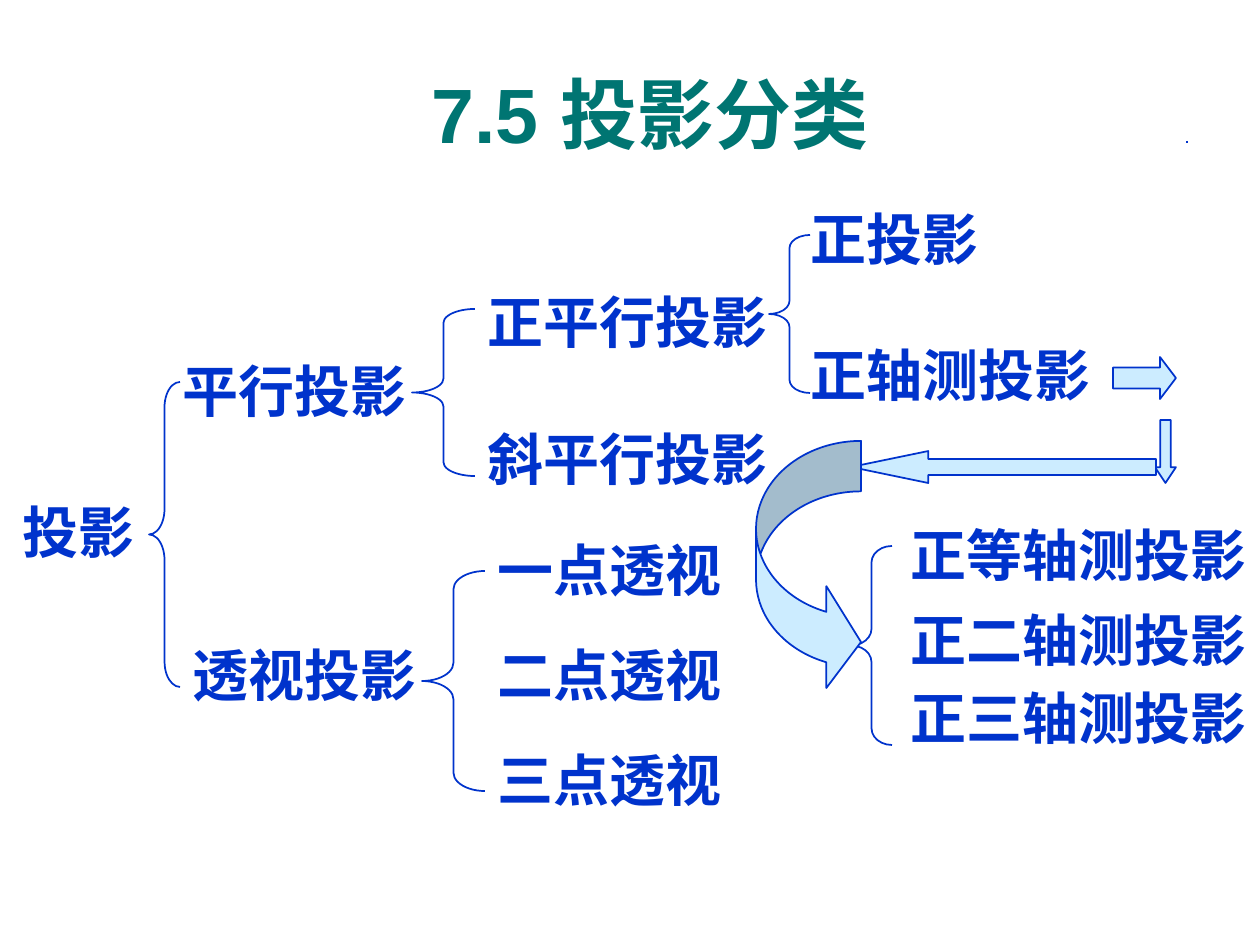
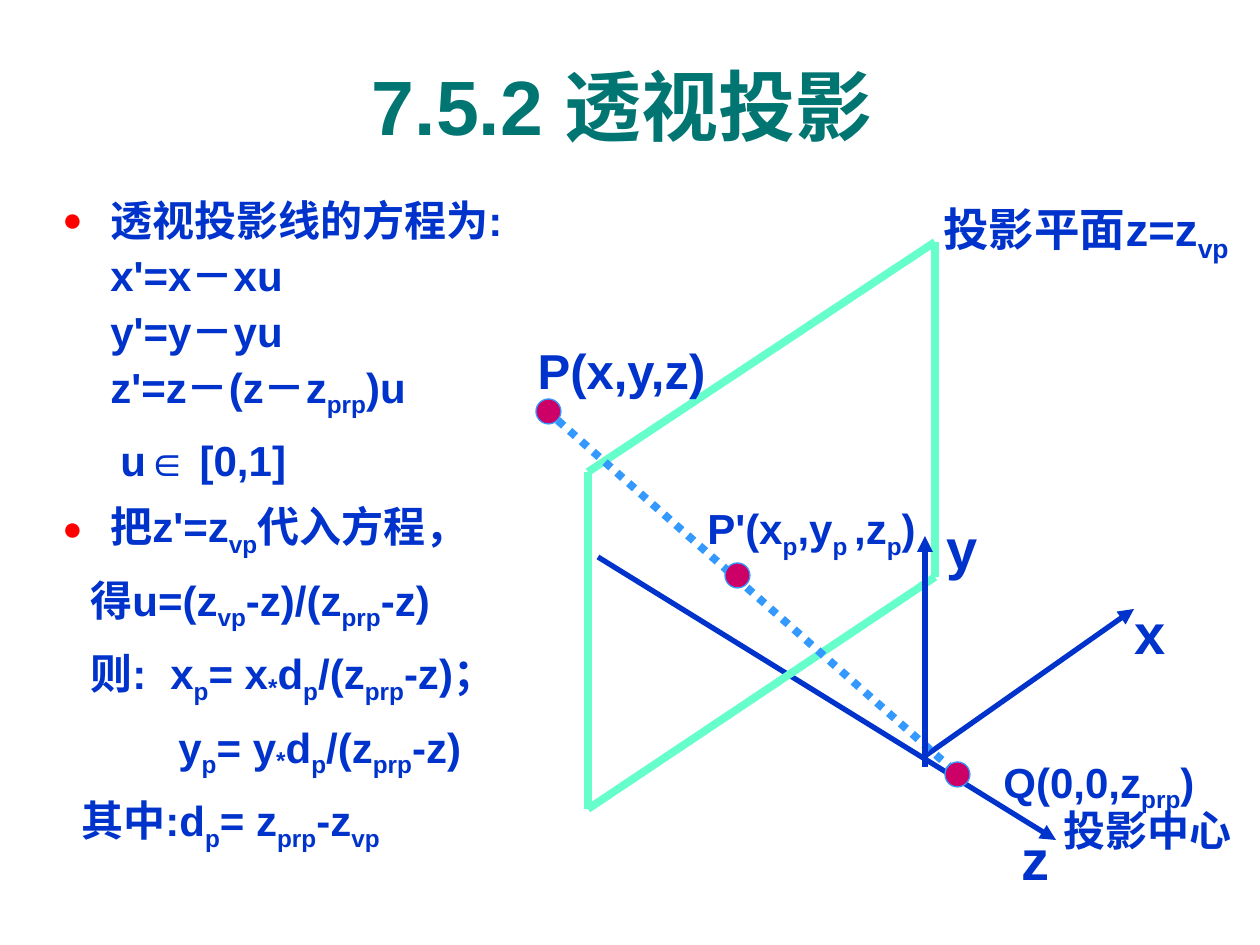
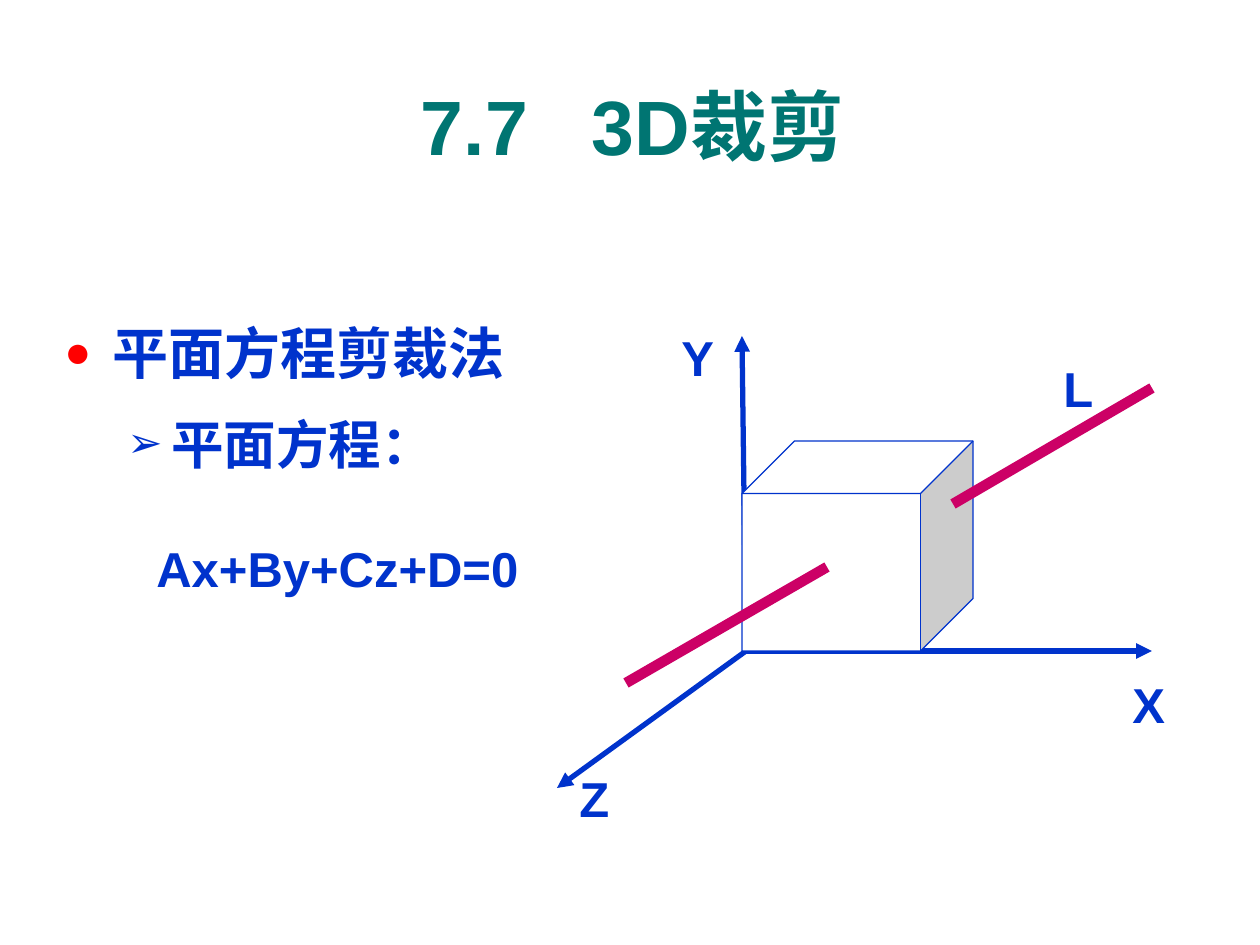
from dataclasses import dataclass
from typing import Any

from lxml.etree import SubElement
from pptx import Presentation
from pptx.dml.color import RGBColor
from pptx.enum.dml import MSO_LINE
from pptx.enum.shapes import MSO_CONNECTOR, MSO_SHAPE
from pptx.enum.text import MSO_ANCHOR, MSO_AUTO_SIZE, PP_ALIGN
from pptx.oxml.ns import qn
from pptx.util import Emu, Pt

PX = 914400 / 126
SLIDE_WIDTH, SLIDE_HEIGHT = 1260, 945
FONT = "Arial"
BLUE = "0033CC"
TEAL = "007572"
RED = "FF0000"
MAGENTA = "CC0066"
MINT = "66FFCC"
SKY = "3399FF"
PALE = "CCECFF"
WHITE = "FFFFFF"


def px(value):
    """Turn pixels into EMU."""
    return Emu(round(value * PX))


def color(value):
    """Turn a hex string into a colour."""
    return RGBColor.from_string(value)


def add_bullet(properties, character, bullet_color):
    """Give a paragraph a coloured bullet."""
    holder = SubElement(properties, qn("a:buClr"))
    SubElement(holder, qn("a:srgbClr"), val=bullet_color)
    SubElement(properties, qn("a:buSzPct"), val="80000")
    SubElement(properties, qn("a:buFont"), typeface=FONT)
    SubElement(properties, qn("a:buChar"), char=character)


def write(paragraph, text, size=32, fill=BLUE, align=PP_ALIGN.LEFT, spacing=None,
          before=0, margin=0, hanging=0, bullet=None, gap=0):
    """Write text in which every second part between bars is lowered or a wide gap."""
    properties = paragraph._p.get_or_add_pPr()
    properties.set("marL", str(px(margin)))
    properties.set("indent", str(px(-hanging)))
    if bullet:
        add_bullet(properties, *bullet)
    paragraph.alignment = align
    paragraph.space_before = Pt(before)
    if spacing:
        paragraph.line_spacing = spacing
    for index, part in enumerate(text.split("|")):
        for row, line in enumerate(part.split("\n")):
            if row:
                paragraph.add_line_break()
            run = paragraph.add_run()
            run.text = line
            run.font.name = FONT
            run.font.size = Pt(size)
            run.font.bold = True
            run.font.color.rgb = color(fill)
            run_properties = run._r.get_or_add_rPr()
            if index % 2 and line == " ":
                run_properties.set("spc", str(gap * 100))
            elif index % 2:
                run_properties.set("baseline", "-15000" if line == "*" else "-25000")


@dataclass
class Region:
    """A part of a slide whose contents are placed from its left top corner."""

    slide: Any
    left: int
    top: int

    def frame(self, left, top, width, height, inset=True, wrap=False, anchor=MSO_ANCHOR.TOP):
        """Add an empty text box and return its text frame."""
        box = self.slide.shapes.add_textbox(
            px(self.left + left), px(self.top + top), px(width), px(height))
        frame = box.text_frame
        frame.word_wrap = wrap
        frame.auto_size = MSO_AUTO_SIZE.NONE if wrap else MSO_AUTO_SIZE.SHAPE_TO_FIT_TEXT
        frame.vertical_anchor = anchor
        if not inset:
            frame.margin_left = frame.margin_right = frame.margin_top = frame.margin_bottom = 0
        return frame

    def label(self, text, left, top, width, height, wrap=False, **style):
        """Add a one-line label."""
        write(self.frame(left, top, width, height, wrap=wrap).paragraphs[0], text, **style)

    def tight_label(self, text, left, top, width, height, **style):
        """Add a centred label without insets."""
        frame = self.frame(left, top, width, height, inset=False, anchor=MSO_ANCHOR.MIDDLE)
        write(frame.paragraphs[0], text, align=PP_ALIGN.CENTER, **style)

    def line(self, start, end, stroke=BLUE, weight=3, arrow=False, dash=None):
        """Draw a straight line, with an arrowhead at its end if asked."""
        (x1, y1), (x2, y2) = start, end
        connector = self.slide.shapes.add_connector(
            MSO_CONNECTOR.STRAIGHT, px(self.left + x1), px(self.top + y1),
            px(self.left + x2), px(self.top + y2))
        connector.line.color.rgb = color(stroke)
        connector.line.width = Pt(weight)
        if dash:
            connector.line.dash_style = dash
        if arrow:
            SubElement(connector.line._get_or_add_ln(), qn("a:tailEnd"), type="triangle")
        SubElement(connector._element.spPr, qn("a:effectLst"))

    def shape(self, kind, left, top, width, height, fill=None, stroke=BLUE, weight=1,
              adjustments=()):
        """Add a preset shape."""
        shape = self.slide.shapes.add_shape(
            kind, px(self.left + left), px(self.top + top), px(width), px(height))
        shape.shadow.inherit = False
        if fill:
            shape.fill.solid()
            shape.fill.fore_color.rgb = color(fill)
        else:
            shape.fill.background()
        shape.line.color.rgb = color(stroke)
        shape.line.width = Pt(weight)
        for index, value in enumerate(adjustments):
            shape.adjustments[index] = value


def add_title(slide, text, left, top, width):
    """Add the centred slide title."""
    frame = Region(slide, left, top).frame(0, 0, width, 105, wrap=True, anchor=MSO_ANCHOR.MIDDLE)
    write(frame.paragraphs[0], text, size=44, fill=TEAL, align=PP_ALIGN.CENTER, gap=24)


def add_term(region, text, left, top):
    """Add a term of the classification, with room for all its characters."""
    region.label(text, left, top, 56 * len(text) + 40, 81, wrap=True)


def add_branch(region, width, height, terms):
    """Add a brace and the terms it opens to."""
    region.shape(MSO_SHAPE.LEFT_BRACE, 0, 0, width, height,
                 adjustments=(height / 12 / width, 0.5))
    for text, left, top in terms:
        add_term(region, text, left, top)


def add_flow_arrows(region):
    """Add the arrows that lead on to the axonometric kinds."""
    arrows = [
        (MSO_SHAPE.RIGHT_ARROW, 357, 0, 63, 42, (0.5, 0.38)),
        (MSO_SHAPE.DOWN_ARROW, 399, 63, 21, 63, (0.5, 0.75)),
        (MSO_SHAPE.LEFT_ARROW, 95, 94, 305, 32, (0.5, 2.42)),
        (MSO_SHAPE.CURVED_RIGHT_ARROW, 0, 84, 105, 252, (0.48, 0.97, 0.33)),
    ]
    for kind, left, top, width, height, adjustments in arrows:
        region.shape(kind, left, top, width, height, fill=PALE, adjustments=adjustments)


def classification_slide(slide):
    """Build the tree of projection kinds."""
    add_term(Region(slide, 10, 491), "投影", 0, 0)
    branches = [
        (149, 382, 31, 305, [("平行投影", 21, -32), ("透视投影", 31, 252)]),
        (422, 571, 63, 220, [("一点透视", 63, -42), ("二点透视", 63, 63), ("三点透视", 63, 168)]),
        (412, 309, 63, 167, [("正平行投影", 63, -28), ("斜平行投影", 63, 109)]),
        (769, 235, 41, 158, [("正投影", 29, -37), ("正轴测投影", 29, 99)]),
        (851, 546, 41, 199,
         [("正等轴测投影", 47, -32), ("正二轴测投影", 47, 53), ("正三轴测投影", 47, 131)]),
    ]
    for left, top, width, height, terms in branches:
        add_branch(Region(slide, left, top), width, height, terms)
    Region(slide, 1187, 141).line((0, 0), (0, 2), weight=1)
    add_flow_arrows(Region(slide, 756, 357))
    add_title(slide, "7.5 投影分类", 144, 60, 1012)


def add_equations(region):
    """Add the derivation of the perspective equations."""
    dot = {"margin": 48, "hanging": 48, "bullet": ("●", RED)}
    steps = [
        ("透视投影线的方程为:\nx'=x－xu\ny'=y－yu\nz'=z－(z－z|prp|)u", dot),
        ("u∈ [0,1]", {"margin": 58}),
        ("把z'=z|vp|代入方程，", dot),
        ("得u=(z|vp|-z)/(z|prp|-z)", {"margin": 28}),
        ("则:| |x|p|= x|*|d|p|/(z|prp|-z)；", {"margin": 28, "gap": 7}),
        ("y|p|= y|*|d|p|/(z|prp|-z)", {"margin": 116}),
        ("其中:d|p|= z|prp|-z|vp|", {"margin": 19}),
    ]
    frame = region.frame(0, 0, 500, 675, wrap=True)
    for index, (text, style) in enumerate(steps):
        paragraph = frame.add_paragraph() if index else frame.paragraphs[0]
        write(paragraph, text, size=24, spacing=1.1, before=6 if index else 0, **style)


def add_perspective_figure(region):
    """Draw the view plane, the axes, the projector and its points."""
    region.line((389, 561), (598, 414), arrow=True)
    region.line((62, 362), (520, 645), arrow=True)
    corners = [(52, 277), (399, 47), (399, 382), (52, 614)]
    for start, end in zip(corners, corners[1:] + corners[:1]):
        region.line(start, end, stroke=MINT, weight=4.5)
    region.line((10, 215), (425, 582), stroke=SKY, weight=4.5, dash=MSO_LINE.ROUND_DOT)
    for text, left, top in [("x", 598, 404), ("y", 410, 319), ("z", 486, 630)]:
        region.tight_label(text, left, top, 32 if text != "z" else 28, 67)
    region.tight_label("P(x,y,z)", 0, 145, 171, 59, size=28)
    region.tight_label("Q(0,0,z|prp|)", 467, 538, 192, 81, size=24, spacing=1.4)
    for left, top in [(0, 204), (189, 368), (409, 567)]:
        region.shape(MSO_SHAPE.OVAL, left, top, 25, 25, fill=MAGENTA, stroke=SKY, weight=0.75)
    region.tight_label("P'(x|p|,y|p |,z|p|)", 171, 296, 209, 69, size=24, spacing=1.2)
    region.label("投影平面z=z|vp|", 395, 0, 321, 76, size=26)
    region.label("投影中心", 515, 603, 193, 63, size=24)
    region.line((389, 572), (389, 341), arrow=True)


def perspective_slide(slide):
    """Build the slide on perspective projection."""
    add_equations(Region(slide, 50, 183))
    add_perspective_figure(Region(slide, 536, 195))
    add_title(slide, "7.5.2 透视投影", 34, 52, 1177)


def add_method(region):
    """Add the clipping method and its plane equation."""
    frame = region.frame(0, 0, 524, 181, wrap=True)
    write(frame.paragraphs[0], "平面方程剪裁法", spacing=1.2, margin=48, hanging=48,
          bullet=("●", RED))
    write(frame.add_paragraph(), "平面方程：", size=30, spacing=1.2, before=7.5,
          margin=107, hanging=44, bullet=("➢", BLUE))
    region.label("Ax+By+Cz+D=0", 92, 233, 407, 72, size=28)


def add_clipping_figure(region):
    """Draw the axes, the clipping cube and the clipped line."""
    origin = (189, 330)
    for end in [(0, 467), (185, 15), (595, 330)]:
        region.line(origin, end, arrow=True)
    region.shape(MSO_SHAPE.CUBE, 185, 120, 231, 210, fill=WHITE, weight=0.75,
                 adjustments=(0.25,))
    for start, end in [((69, 362), (270, 246)), ((396, 183), (595, 67))]:
        region.line(start, end, stroke=MAGENTA, weight=6)
    for text, left, top in [("L", 494, 31), ("X", 563, 347), ("Y", 112, 0), ("Z", 10, 441)]:
        region.label(text, left, top, 57, 72, size=28)


def clipping_slide(slide):
    """Build the slide on clipping in three dimensions."""
    add_method(Region(slide, 52, 299))
    add_clipping_figure(Region(slide, 557, 321))
    add_title(slide, "7.7| |3D裁剪", 44, 72, 1177)


def main():
    """Build and save the presentation."""
    presentation = Presentation()
    presentation.slide_width = px(SLIDE_WIDTH)
    presentation.slide_height = px(SLIDE_HEIGHT)
    for build in (classification_slide, perspective_slide, clipping_slide):
        build(presentation.slides.add_slide(presentation.slide_layouts[6]))
    presentation.save("out.pptx")


if __name__ == "__main__":
    main()
